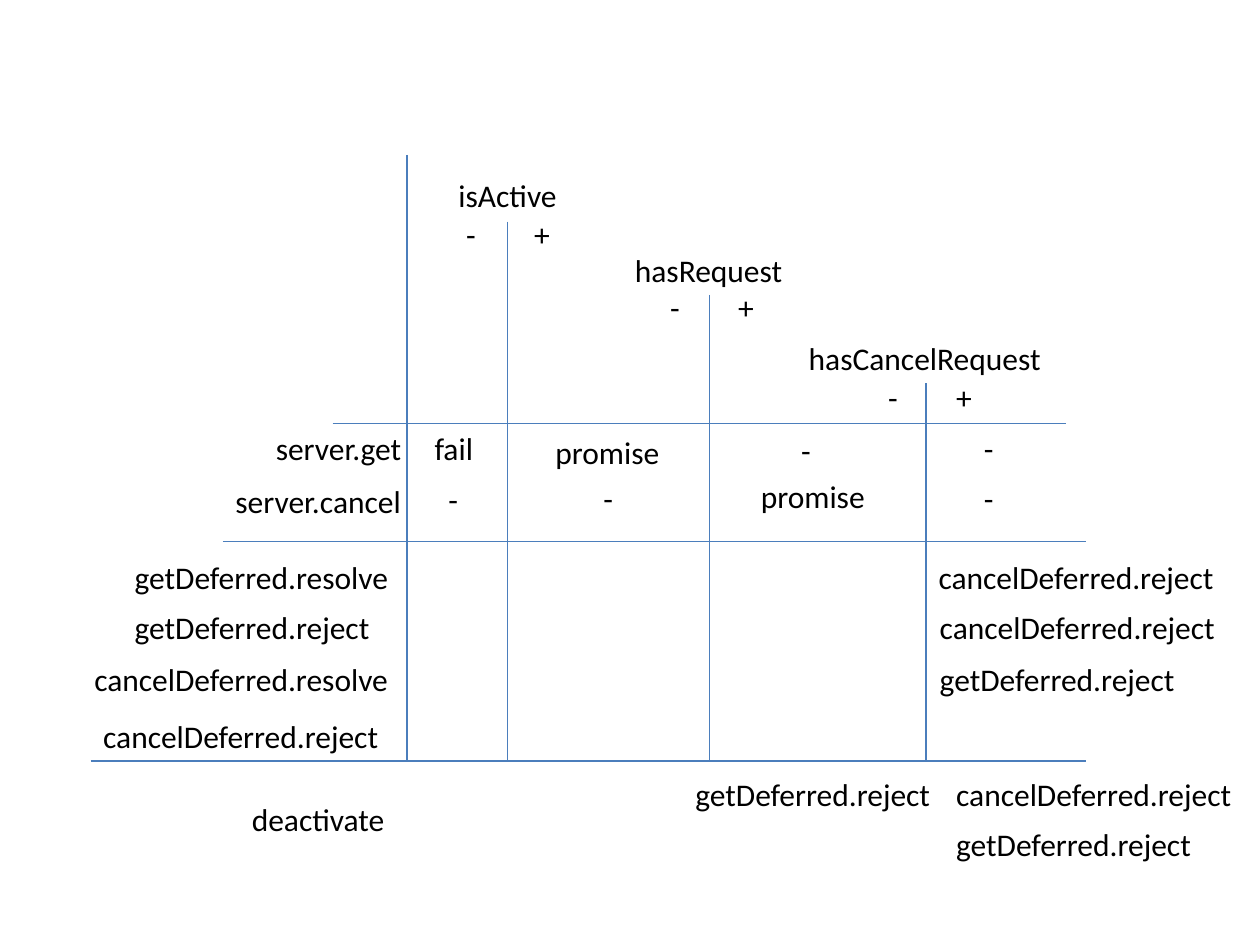
from dataclasses import dataclass

from lxml import etree
from pptx import Presentation
from pptx.dml.color import RGBColor
from pptx.enum.shapes import MSO_CONNECTOR
from pptx.enum.text import MSO_AUTO_SIZE
from pptx.oxml.ns import qn
from pptx.util import Inches, Pt


@dataclass(frozen=True)
class Theme:
    font: str = "Calibri"
    size: Pt = Pt(18)
    text: RGBColor = RGBColor(0x00, 0x00, 0x00)
    rule: RGBColor = RGBColor(0x4B, 0x7E, 0xBC)
    rule_width: Pt = Pt(0.75)


theme = Theme()
label_height = 0.4
# Every wording has one box width
label_widths = {
    "isActive": 0.99, "hasRequest": 1.39, "hasCancelRequest": 2.07,
    "+": 0.33, "-": 0.28, "fail": 0.51, "promise": 1.04,
    "server.get": 1.21, "server.cancel": 1.53, "deactivate": 1.27,
    "getDeferred.resolve": 2.24, "getDeferred.reject": 2.09,
    "cancelDeferred.resolve": 2.56, "cancelDeferred.reject": 2.41,
}

presentation = Presentation()
presentation.slide_width = Inches(10)
presentation.slide_height = Inches(7.5)
slide = presentation.slides.add_slide(presentation.slide_layouts[6])


def add_label(text, left, top):
    shape = slide.shapes.add_textbox(
        Inches(left), Inches(top), Inches(label_widths[text]), Inches(label_height))
    frame = shape.text_frame
    frame.word_wrap = False
    frame.auto_size = MSO_AUTO_SIZE.SHAPE_TO_FIT_TEXT
    paragraph = frame.paragraphs[0]
    paragraph.text = text
    paragraph.font.name = theme.font
    paragraph.font.size = theme.size
    paragraph.font.color.rgb = theme.text


def add_rule(left, top, right, bottom):
    connector = slide.shapes.add_connector(
        MSO_CONNECTOR.STRAIGHT,
        Inches(left), Inches(top), Inches(right), Inches(bottom))
    connector.line.color.rgb = theme.rule
    connector.line.width = theme.rule_width
    etree.SubElement(connector._element.spPr, qn("a:effectLst"))


# Vertical rules: the label column edge, then one per state flag
grid_bottom = 6.04
for x, top in [(3.23, 1.23), (4.03, 1.76), (5.63, 2.34), (7.35, 3.04)]:
    add_rule(x, top, x, grid_bottom)

# Horizontal rules between the row groups
for left, right, y in [(2.64, 8.46, 3.36), (1.77, 8.62, 4.3), (0.72, 8.62, grid_bottom)]:
    add_rule(left, y, right, y)

# State flags, each with its minus and plus branch
flags = [
    ("isActive", 3.54, 1.35, 3.6, 4.14, 1.66),
    ("hasRequest", 4.94, 1.94, 5.22, 5.76, 2.24),
    ("hasCancelRequest", 6.32, 2.64, 6.95, 7.49, 2.95),
]
for name, left, top, minus_left, plus_left, sign_top in flags:
    add_label(name, left, top)
    add_label("-", minus_left, sign_top)
    add_label("+", plus_left, sign_top)

# Rows: each cell is text, left, top
rows = [
    # Server calls
    [("server.get", 2.09, 3.36), ("fail", 3.35, 3.36), ("promise", 4.31, 3.39),
     ("-", 6.26, 3.37), ("-", 7.71, 3.36)],
    [("server.cancel", 1.77, 3.78), ("-", 3.46, 3.76), ("-", 4.69, 3.75),
     ("promise", 5.94, 3.74), ("-", 7.71, 3.75)],
    # Deferred outcomes
    [("getDeferred.resolve", 0.97, 4.38), ("cancelDeferred.reject", 7.35, 4.38)],
    [("getDeferred.reject", 0.97, 4.78), ("cancelDeferred.reject", 7.36, 4.78)],
    [("cancelDeferred.resolve", 0.65, 5.19), ("getDeferred.reject", 7.36, 5.19)],
    [("cancelDeferred.reject", 0.72, 5.64)],
    # Deactivation
    [("deactivate", 1.9, 6.3), ("getDeferred.reject", 5.42, 6.1),
     ("cancelDeferred.reject", 7.49, 6.1), ("getDeferred.reject", 7.49, 6.5)],
]
for row in rows:
    for text, left, top in row:
        add_label(text, left, top)

presentation.save("out.pptx")
